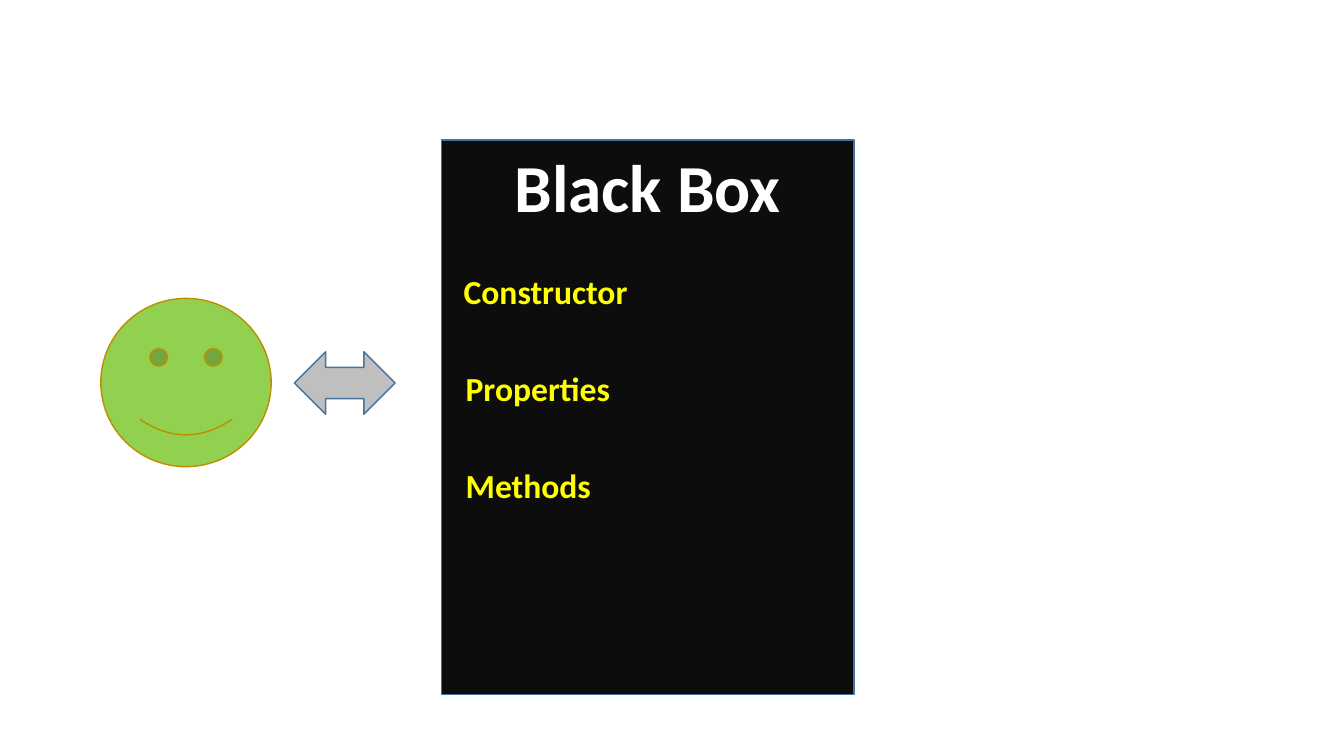
from pptx import Presentation
from pptx import util as u
from pptx.dml.color import RGBColor
from pptx.enum import shapes, text

WIDTH, HEIGHT = u.Inches(13.33), u.Inches(7.5)
COLORS = {
    "box": "0D0D0D",
    "face": "92D050",
    "arrow": "BFBFBF",
    "blue_edge": "43739E",
    "gold_edge": "BD8E00",
    "title": "FFFFFF",
    "member": "FFFF00",
}
MEMBERS = [("Constructor", 33.76, 13.8), ("Properties", 33.91, 12.38), ("Methods", 33.91, 10.95)]
MEMBER_TOP, MEMBER_STEP, MEMBER_HEIGHT = 35.2, 12.8, 6.67


def color(name):
    return RGBColor.from_string(COLORS[name])


def area(left, top, width, height):
    return (
        round(WIDTH * left / 100),
        round(HEIGHT * top / 100),
        round(WIDTH * width / 100),
        round(HEIGHT * height / 100),
    )


def write(frame, wording, *, size, ink, align, wrap):
    frame.word_wrap = wrap
    frame.vertical_anchor = text.MSO_ANCHOR.TOP
    paragraph = frame.paragraphs[0]
    paragraph.alignment = align
    run = paragraph.add_run()
    run.text = wording
    run.font.name = "Calibri"
    run.font.size = u.Pt(size)
    run.font.bold = True
    run.font.color.rgb = color(ink)


def add_figure(slide, kind, place, fill, edge):
    figure = slide.shapes.add_shape(kind, *area(*place))
    figure.shadow.inherit = False
    figure.fill.solid()
    figure.fill.fore_color.rgb = color(fill)
    figure.line.color.rgb = color(edge)
    figure.line.width = u.Pt(1)
    return figure


def add_member(slide, wording, place):
    frame = slide.shapes.add_textbox(*area(*place)).text_frame
    write(frame, wording, size=24, ink="member", align=text.PP_ALIGN.LEFT, wrap=False)
    frame.auto_size = text.MSO_AUTO_SIZE.SHAPE_TO_FIT_TEXT


def main():
    deck = Presentation()
    deck.slide_width, deck.slide_height = WIDTH, HEIGHT
    slide = deck.slides.add_slide(deck.slide_layouts[6])
    kinds = shapes.MSO_SHAPE

    black_box = add_figure(slide, kinds.RECTANGLE, (32.86, 18.53, 30.68, 73.33), "box", "blue_edge")
    write(black_box.text_frame, "Black Box", size=48, ink="title",
          align=text.PP_ALIGN.CENTER, wrap=True)
    add_figure(slide, kinds.SMILEY_FACE, (7.5, 39.47, 12.68, 22.27), "face", "gold_edge")
    add_figure(slide, kinds.LEFT_RIGHT_ARROW, (21.9, 46.53, 7.5, 8.27), "arrow", "blue_edge")

    for row, (wording, left, width) in enumerate(MEMBERS):
        add_member(slide, wording, (left, MEMBER_TOP + row * MEMBER_STEP, width, MEMBER_HEIGHT))

    deck.save("out.pptx")


if __name__ == "__main__":
    main()
